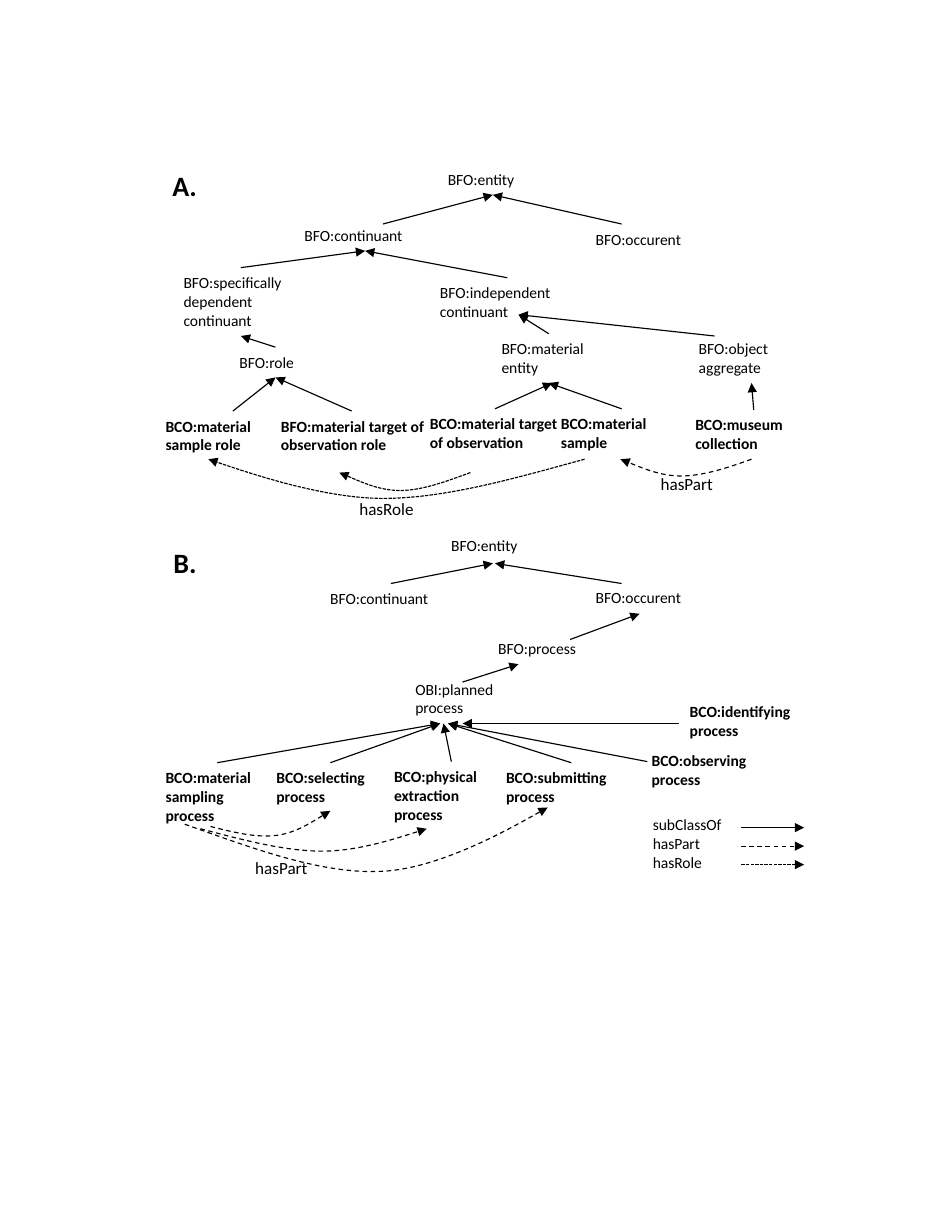
from pptx import Presentation
from pptx.dml.color import RGBColor
from pptx.enum import dml, shapes, text
from pptx.oxml import ns, xmlchemy
from pptx.util import Inches, Pt

INK = "000000"
DASH = dml.MSO_LINE.DASH
DOT = dml.MSO_LINE.SQUARE_DOT


def hue(code):
    return RGBColor.from_string(code)


def label(slide, box, at, words, size=10, bold=False, wrap=True):
    x, y, w, h = at
    item = slide.shapes.add_textbox(
        Inches(box[0] + x), Inches(box[1] + y), Inches(w), Inches(h))
    frame = item.text_frame
    frame.text = words
    frame.word_wrap = wrap
    frame.auto_size = text.MSO_AUTO_SIZE.SHAPE_TO_FIT_TEXT
    for para in frame.paragraphs:
        font = para.runs[0].font
        font.name, font.size, font.bold = "Calibri", Pt(size), bold
        font.color.rgb = hue(INK)


def stroke(item, dash=None):
    """Thin line with an arrowhead at its end and no shadow."""
    item.line.color.rgb = hue(INK)
    item.line.width = Pt(0.75)
    if dash:
        item.line.dash_style = dash
    head = xmlchemy.OxmlElement("a:tailEnd")
    head.set("type", "triangle")
    item.line._get_or_add_ln().append(head)


def arrow(slide, box, start, end, dash=None):
    ends = [Inches(box[i] + p[i]) for p in (start, end) for i in (0, 1)]
    item = slide.shapes.add_connector(shapes.MSO_CONNECTOR.STRAIGHT, *ends)
    stroke(item, dash)
    item._element.spPr.append(xmlchemy.OxmlElement("a:effectLst"))


def curve(slide, box, points, dash):
    """Bezier curve: a start point, then three points for each segment."""
    spots = [(Inches(box[0] + x), Inches(box[1] + y)) for x, y in points]
    pen = slide.shapes.build_freeform(*spots[0])
    pen.add_line_segments(spots[1:], close=False)
    item = pen.convert_to_shape()
    item.fill.background()
    item.shadow.inherit = False
    stroke(item, dash)
    # Turn each three straight steps into one cubic step
    steps = item._element.xpath(".//a:lnTo")
    for i in range(0, len(steps), 3):
        bend = xmlchemy.OxmlElement("a:cubicBezTo")
        steps[i].addprevious(bend)
        for step in steps[i:i + 3]:
            bend.append(step.find(ns.qn("a:pt")))
            step.getparent().remove(step)


def panel(slide, box, mark, plain, bold, links, bends, notes):
    at, words = mark
    label(slide, box, at, words, 18, True, False)
    for at, words in plain:
        label(slide, box, at, words)
    for at, words in bold:
        label(slide, box, at, words, bold=True)
    for end, starts in links:
        for start in starts:
            arrow(slide, box, start, end)
    for points, dash in bends:
        curve(slide, box, points, dash)
    for at, words in notes:
        label(slide, box, at, words, 11, wrap=False)


def roles(slide, box):
    panel(
        slide, box, ((0.44, 0.46, 0.42, 0.4), "A."),
        plain=[
            ((2.9, 0.47, 1, 0.27), "BFO:entity"),
            ((4.22, 1, 1.16, 0.27), "BFO:occurent"),
            ((1.62, 0.97, 1.28, 0.27), "BFO:continuant"),
            ((0.54, 1.39, 1.22, 0.61), "BFO:specifically dependent continuant"),
            ((2.83, 1.48, 1.39, 0.44), "BFO:independent continuant"),
            ((1.04, 2.1, 0.84, 0.27), "BFO:role"),
            ((3.38, 1.98, 1.05, 0.44), "BFO:material entity"),
            ((5.14, 1.98, 1.12, 0.44), "BFO:object aggregate")],
        bold=[
            ((0.38, 2.67, 1.4, 0.44), "BCO:material sample role"),
            ((1.41, 2.67, 1.48, 0.61), "BFO:material target of observation role"),
            ((2.74, 2.65, 1.37, 0.61), "BCO:material target of observation"),
            ((3.91, 2.65, 1.29, 0.44), "BCO:material sample"),
            ((5.11, 2.66, 1.25, 0.44), "BCO:museum collection")],
        links=[
            ((3.4, 0.74), [(2.42, 1), (4.55, 1)]),
            ((2.26, 1.24), [(3.53, 1.48), (1.15, 1.39)]),
            ((1.15, 2), [(1.46, 2.1)]),
            ((1.46, 2.37), [(2.14, 2.67), (1.08, 2.67)]),
            ((3.63, 1.81), [(3.9, 1.98), (5.38, 2)]),
            ((3.93, 2.42), [(3.42, 2.65)]),
            ((3.9, 2.42), [(4.55, 2.65)]),
            ((5.71, 2.42), [(5.73, 2.66)])],
        bends=[
            ([(3.2, 3.22), (2.98, 3.3), (2.77, 3.38), (2.57, 3.38),
              (2.38, 3.38), (2.03, 3.22), (2.03, 3.22)], DOT),
            ([(4.22, 3.1), (3.6, 3.27), (2.98, 3.45), (2.42, 3.45),
              (1.86, 3.45), (0.86, 3.1), (0.86, 3.1)], DOT),
            ([(5.71, 3.1), (5.49, 3.18), (5.27, 3.25), (5.08, 3.25),
              (4.89, 3.25), (4.54, 3.1), (4.54, 3.1)], DASH)],
        notes=[
            ((2.11, 3.4, 0.77, 0.29), "hasRole"),
            ((4.8, 3.18, 0.73, 0.29), "hasPart")])


def processes(slide, box):
    panel(
        slide, box, ((0.45, 0.82, 0.41, 0.4), "B."),
        plain=[
            ((2.93, 0.74, 1, 0.27), "BFO:entity"),
            ((4.22, 1.2, 1.16, 0.27), "BFO:occurent"),
            ((1.85, 1.21, 1.28, 0.27), "BFO:continuant"),
            ((3.35, 1.66, 1.18, 0.27), "BFO:process"),
            ((2.61, 2.02, 1.06, 0.44), "OBI:planned process")],
        bold=[
            ((0.38, 2.81, 1.12, 0.61), "BCO:material sampling process"),
            ((2.42, 2.8, 1.16, 0.61), "BCO:physical extraction process"),
            ((1.37, 2.81, 1.16, 0.44), "BCO:selecting process"),
            ((3.42, 2.81, 1.36, 0.44), "BCO:submitting process"),
            ((4.72, 2.66, 1.35, 0.44), "BCO:observing process"),
            ((5.06, 2.22, 1.35, 0.44), "BCO:identifying process")],
        links=[
            ((3.4, 1.03), [(2.49, 1.21)]),
            ((3.42, 1.03), [(4.55, 1.21)]),
            ((4.71, 1.48), [(4.09, 1.71)]),
            ((3.63, 1.93), [(3.13, 2.09)]),
            ((3, 2.46), [(4.1, 2.81), (4.78, 2.8)]),
            ((2.96, 2.46), [(3.03, 2.8)]),
            ((2.93, 2.46), [(1.95, 2.81), (0.94, 2.81)]),
            ((3.13, 2.46), [(5.06, 2.46)])],
        bends=[
            ([(0.79, 3.4), (1.17, 3.5), (1.54, 3.6), (1.88, 3.6),
              (2.21, 3.6), (2.81, 3.4), (2.81, 3.4)], DASH),
            ([(0.88, 3.38), (1.08, 3.43), (1.28, 3.48), (1.46, 3.46),
              (1.64, 3.44), (1.95, 3.24), (1.95, 3.24)], DASH),
            ([(0.65, 3.36), (1.27, 3.58), (1.88, 3.81), (2.42, 3.78),
              (2.96, 3.75), (3.89, 3.21), (3.89, 3.21)], DASH)],
        notes=[((1.18, 3.61, 0.73, 0.29), "hasPart")])


def legend(slide, box):
    label(slide, box, (0, 0, 0.95, 0.61),
          "subClassOf\nhasPart\nhasRole", wrap=False)
    for i, dash in enumerate((None, DASH, DOT)):
        y = 0.16 + i * 0.165
        arrow(slide, box, (0.89, y), (1.45, y), dash)


def main():
    deck = Presentation()
    deck.slide_width, deck.slide_height = Inches(8.5), Inches(11)
    slide = deck.slides.add_slide(deck.slide_layouts[6])
    # Class trees, one below the other
    roles(slide, (1, 1))
    processes(slide, (1, 4))
    # Key to the line styles
    legend(slide, (5.73, 7.23))
    deck.save("out.pptx")


if __name__ == "__main__":
    main()
